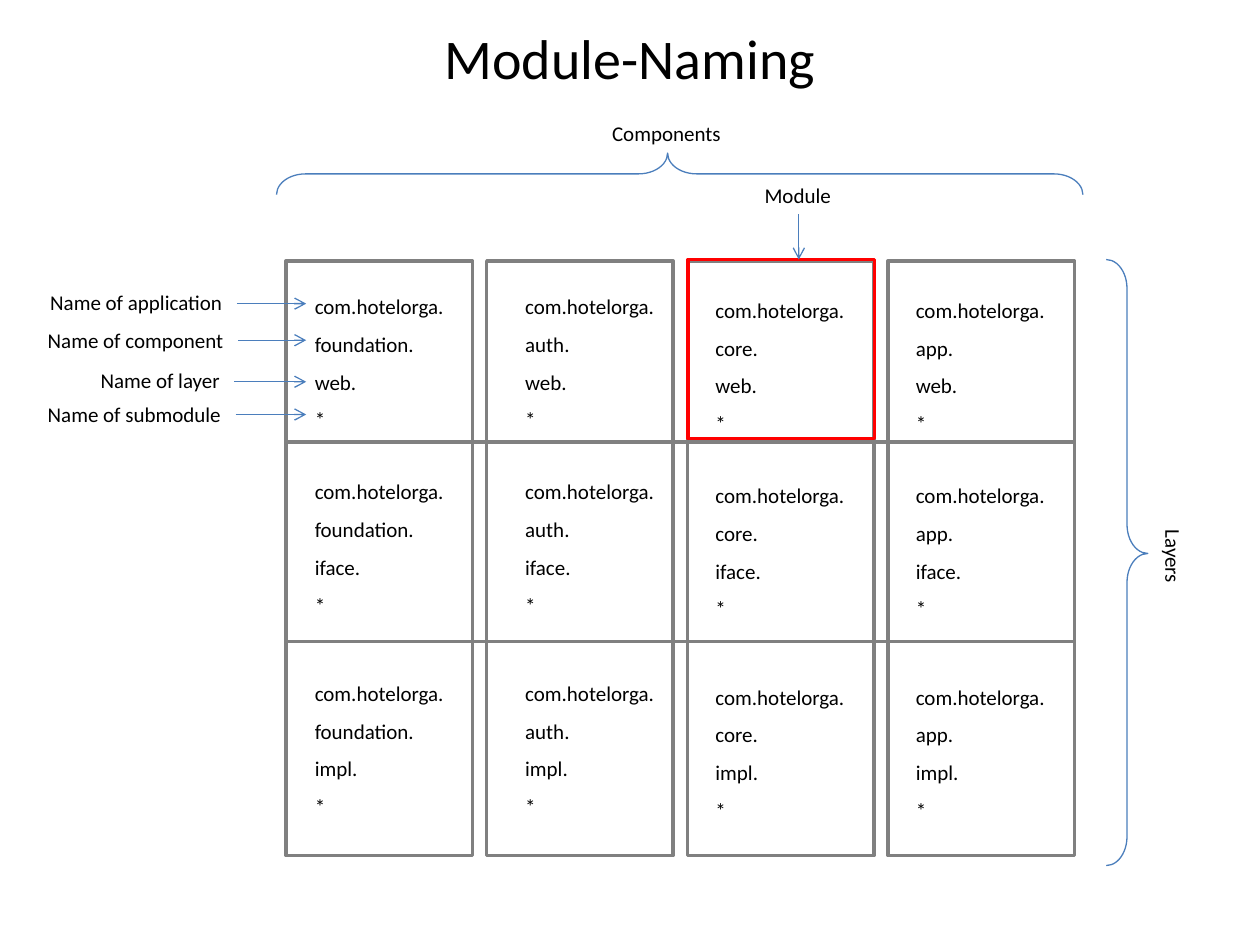
import pptx
import pptx.util
import pptx.dml.color
import pptx.enum.shapes
import pptx.enum.text
import pptx.oxml
import pptx.oxml.ns
from lxml import etree

Inches = pptx.util.Inches
Pt = pptx.util.Pt
RGBColor = pptx.dml.color.RGBColor
Shape = pptx.enum.shapes.MSO_SHAPE
Align = pptx.enum.text.PP_ALIGN
Fit = pptx.enum.text.MSO_AUTO_SIZE

BLACK = RGBColor(0x00, 0x00, 0x00)
WHITE = RGBColor(0xFF, 0xFF, 0xFF)
GREY = RGBColor(0x80, 0x80, 0x80)
RED = RGBColor(0xFF, 0x00, 0x00)
BLUE = RGBColor(0x4B, 0x7E, 0xBC)

deck = pptx.Presentation()
deck.slide_width = Inches(10)
deck.slide_height = Inches(7.5)
slide = deck.slides.add_slide(deck.slide_layouts[6])
shapes = slide.shapes


def add_text(lines, left, top, width, height, size=12, spacing=None):
    box = shapes.add_textbox(Inches(left), Inches(top), Inches(width), Inches(height))
    frame = box.text_frame
    frame.word_wrap = False
    frame.auto_size = Fit.SHAPE_TO_FIT_TEXT
    frame.text = "\n".join(lines)
    for para in frame.paragraphs:
        para.font.name = "Calibri"
        para.font.size = Pt(size)
        para.font.color.rgb = BLACK
        para.line_spacing = spacing
    return box


def add_line(x1, y1, x2, y2, color, width, arrow=False):
    line = shapes.add_connector(
        pptx.enum.shapes.MSO_CONNECTOR.STRAIGHT,
        Inches(x1), Inches(y1), Inches(x2), Inches(y2))
    line.line.color.rgb = color
    line.line.width = Pt(width)
    if arrow:
        etree.SubElement(line.line._get_or_add_ln(),
                         pptx.oxml.ns.qn("a:tailEnd"), type="arrow")
    etree.SubElement(line._element.spPr, pptx.oxml.ns.qn("a:effectLst"))


title = add_text(["Module-Naming"], 0.5, 0.14, 9, 0.46, size=32)
title.text_frame.word_wrap = True
title.text_frame.auto_size = Fit.NONE
title.text_frame.paragraphs[0].alignment = Align.CENTER

# Component columns
for col in range(4):
    rect = shapes.add_shape(Shape.RECTANGLE, Inches(2.27 + 1.593 * col),
                            Inches(2.07), Inches(1.48), Inches(4.72))
    rect.shadow.inherit = False
    rect.fill.solid()
    rect.fill.fore_color.rgb = WHITE
    rect.line.color.rgb = GREY
    rect.line.width = Pt(2)

# Layer dividers
for y in (3.51, 5.09):
    add_line(2.27, y, 8.53, y, GREY, 2)

# Module names: component, text left, shift down
parts = [("foundation", 2.4, 0), ("auth", 4.07, 0),
         ("core", 5.58, 0.03), ("app", 7.17, 0.03)]
layers = [("web", 2.18), ("iface", 3.65), ("impl", 5.25)]
for part, left, shift in parts:
    for layer, top in layers:
        add_text(["com.hotelorga.", part + ".", layer + ".", "*"],
                 left, top + shift, 1.24, 1.31, spacing=1.5)

# Name parts: text, left, top, width, arrow height
labels = [("application", 0.3, 2.25, 1.58, 2.41),
          ("component", 0.28, 2.55, 1.61, 2.7),
          ("layer", 0.7, 2.87, 1.16, 3.03),
          ("submodule", 0.28, 3.14, 1.59, 3.29)]
for name, left, top, width, y in labels:
    add_text(["Name of " + name], left, top, width, 0.3)
    add_line(left + width, y, 2.43, y, BLUE, 0.75, arrow=True)

# Highlighted module
module = shapes.add_shape(Shape.RECTANGLE, Inches(5.46), Inches(2.06),
                          Inches(1.48), Inches(1.42))
module.shadow.inherit = False
module.fill.background()
module.line.color.rgb = RED
module.line.width = Pt(2)
add_line(6.34, 1.7, 6.34, 2.06, BLUE, 0.75, arrow=True)
add_text(["Module"], 5.97, 1.4, 0.73, 0.3)

# Braces over the components and beside the layers
for left, top, height, turn in [(5.23, -1.82, 6.4, 270), (8.78, 2.06, 4.81, 0)]:
    brace = shapes.add_shape(Shape.RIGHT_BRACE, Inches(left), Inches(top),
                             Inches(0.33), Inches(height))
    brace.rotation = turn
    brace.adjustments[0] = 0.7
    brace.adjustments[1] = 0.485
    brace.shadow.inherit = False
    brace.fill.background()
    brace.line.color.rgb = BLUE
    brace.line.width = Pt(0.75)
add_text(["Components"], 4.76, 0.91, 1.07, 0.3)
add_text(["Layers"], 9, 4.27, 0.63, 0.3).rotation = 90

deck.save("out.pptx")
